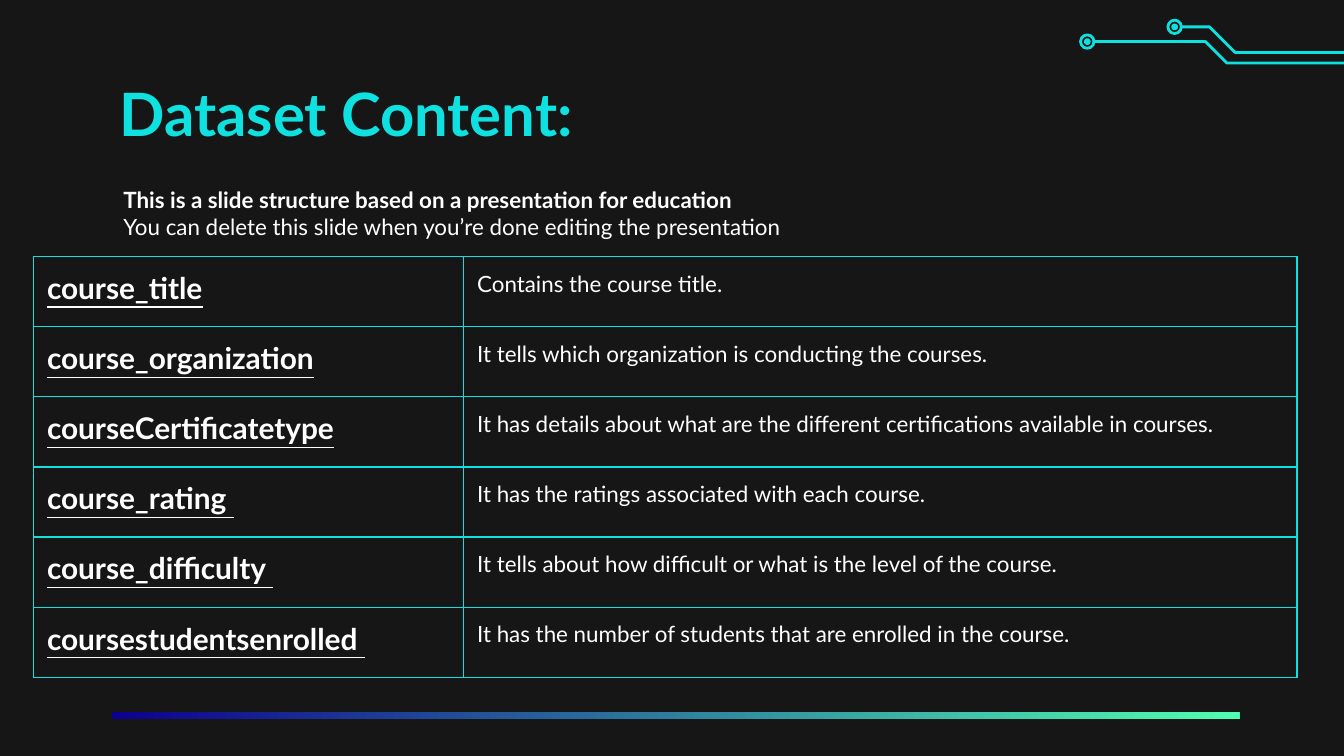
from lxml import etree
from pptx import Presentation
from pptx.dml.color import RGBColor
from pptx.enum.shapes import MSO_SHAPE as Shape
from pptx.enum.text import MSO_ANCHOR as Anchor, MSO_AUTO_SIZE as AutoSize, PP_ALIGN as Align
from pptx.oxml.ns import qn
from pptx.util import Inches, Pt

FONT = "Lato"
BACKGROUND, CYAN, WHITE = "161616", "0FE0E0", "FFFFFF"
BAR_COLORS = "0D008E", "50FFB0"

INTRO = [
    ("This is a slide structure based on a presentation for education", True),
    ("You can delete this slide when you’re done editing the presentation", False),
]
FIELDS = [
    ("course_title", "Contains the course title."),
    ("course_organization", "It tells which organization is conducting the courses."),
    ("courseCertificatetype",
     "It has details about what are the different certifications available in courses."),
    ("course_rating ", "It has the ratings associated with each course."),
    ("course_difficulty ", "It tells about how difficult or what is the level of the course."),
    ("coursestudentsenrolled ", "It has the number of students that are enrolled in the course."),
]


def rgb(color):
    return RGBColor.from_string(color)


def add_run(paragraph, text, size, color, bold=False, underline=False):
    run = paragraph.add_run()
    run.text = text
    font = run.font
    font.name, font.size, font.bold, font.underline = FONT, Pt(size), bold, underline
    font.color.rgb = rgb(color)


def set_frame(frame):
    frame.word_wrap = True
    frame.auto_size = AutoSize.NONE
    frame.vertical_anchor = Anchor.MIDDLE
    frame.margin_left = frame.margin_right = Inches(0.1)
    frame.margin_top = frame.margin_bottom = Inches(0.1)


def place_title(slide, left, top, width, height):
    title = slide.shapes.title
    title.left, title.top = Inches(left), Inches(top)
    title.width, title.height = Inches(width), Inches(height)
    set_frame(title.text_frame)
    paragraph = title.text_frame.paragraphs[0]
    paragraph.alignment = Align.LEFT
    add_run(paragraph, "Dataset Content:", 32, CYAN, bold=True)


def add_intro(slide, left, top, width, height):
    intro = slide.shapes.add_textbox(Inches(left), Inches(top), Inches(width), Inches(height))
    frame = intro.text_frame
    set_frame(frame)
    for i, (text, bold) in enumerate(INTRO):
        paragraph = frame.add_paragraph() if i else frame.paragraphs[0]
        add_run(paragraph, text, 12, WHITE, bold)


def add_gradient_bar(slide, left, top, width, height):
    bar = slide.shapes.add_shape(
        Shape.RECTANGLE, Inches(left), Inches(top), Inches(width), Inches(height))
    bar.shadow.inherit = False
    bar.line.fill.background()
    bar.fill.gradient()
    bar.fill.gradient_angle = 345
    for stop, color in zip(bar.fill.gradient_stops, BAR_COLORS):
        stop.color.rgb = rgb(color)


def outline(shape):
    shape.shadow.inherit = False
    shape.fill.background()
    shape.line.color.rgb = rgb(CYAN)
    shape.line.width = Pt(1.5)


def add_dot(slide, x, y, diameter):
    corner = Inches(x - diameter / 2), Inches(y - diameter / 2)
    dot = slide.shapes.add_shape(Shape.OVAL, *corner, Inches(diameter), Inches(diameter))
    dot.shadow.inherit = False
    return dot


def add_circuit(slide, left, top):
    """Two bent traces, each starting at a ringed node and running to the right edge."""
    traces = [
        [(0.05, 0.16), (0.93, 0.16), (1.09, 0.32), (1.96, 0.32)],
        [(0.70, 0.05), (0.96, 0.05), (1.15, 0.24), (1.96, 0.24)],
    ]
    for trace in traces:
        (x, y), *bends = [(left + dx, top + dy) for dx, dy in trace]
        outline(add_dot(slide, x, y, 0.1))
        core = add_dot(slide, x, y, 0.05)
        core.fill.solid()
        core.fill.fore_color.rgb = rgb(CYAN)
        core.line.fill.background()
        builder = slide.shapes.build_freeform(Inches(x + 0.05), Inches(y))
        builder.add_line_segments([(Inches(bx), Inches(by)) for bx, by in bends], close=False)
        outline(builder.convert_to_shape())


def set_borders(cell):
    properties = cell._tc.get_or_add_tcPr()
    for i, side in enumerate(("a:lnL", "a:lnR", "a:lnT", "a:lnB")):
        border = etree.Element(qn(side), w=str(Pt(0.75)))
        fill = etree.SubElement(border, qn("a:solidFill"))
        etree.SubElement(fill, qn("a:srgbClr"), val=CYAN)
        properties.insert(i, border)


def add_field_table(slide, left, top, width, height):
    table = slide.shapes.add_table(
        len(FIELDS), 2, Inches(left), Inches(top), Inches(width), Inches(height)).table
    table.first_row = table.horz_banding = False
    name_width = 3.2
    table.columns[0].width = Inches(name_width)
    table.columns[1].width = Inches(width - name_width)
    for row, (name, description) in enumerate(FIELDS):
        name_cell, description_cell = table.cell(row, 0), table.cell(row, 1)
        for cell in (name_cell, description_cell):
            cell.margin_left = cell.margin_right = Inches(0.1)
            cell.margin_top = cell.margin_bottom = Inches(0.1)
            cell.fill.background()
            set_borders(cell)
        add_run(name_cell.text_frame.paragraphs[0], name, 16, WHITE, bold=True, underline=True)
        paragraph = description_cell.text_frame.paragraphs[0]
        paragraph.space_after = Pt(16)
        add_run(paragraph, description, 12, WHITE)


def main():
    prs = Presentation()
    prs.slide_width = Inches(10)
    prs.slide_height = prs.slide_width * 9 // 16
    slide = prs.slides.add_slide(prs.slide_layouts[5])
    slide.background.fill.solid()
    slide.background.fill.fore_color.rgb = rgb(BACKGROUND)
    add_gradient_bar(slide, 0.83, 5.3, 8.39, 0.05)
    place_title(slide, 0.79, 0.59, 8.43, 0.5)
    add_intro(slide, 0.82, 1.3, 8.43, 0.57)
    add_circuit(slide, 8.04, 0.15)
    add_field_table(slide, 0.25, 1.91, 9.4, 3.13)
    prs.save("out.pptx")


if __name__ == "__main__":
    main()
